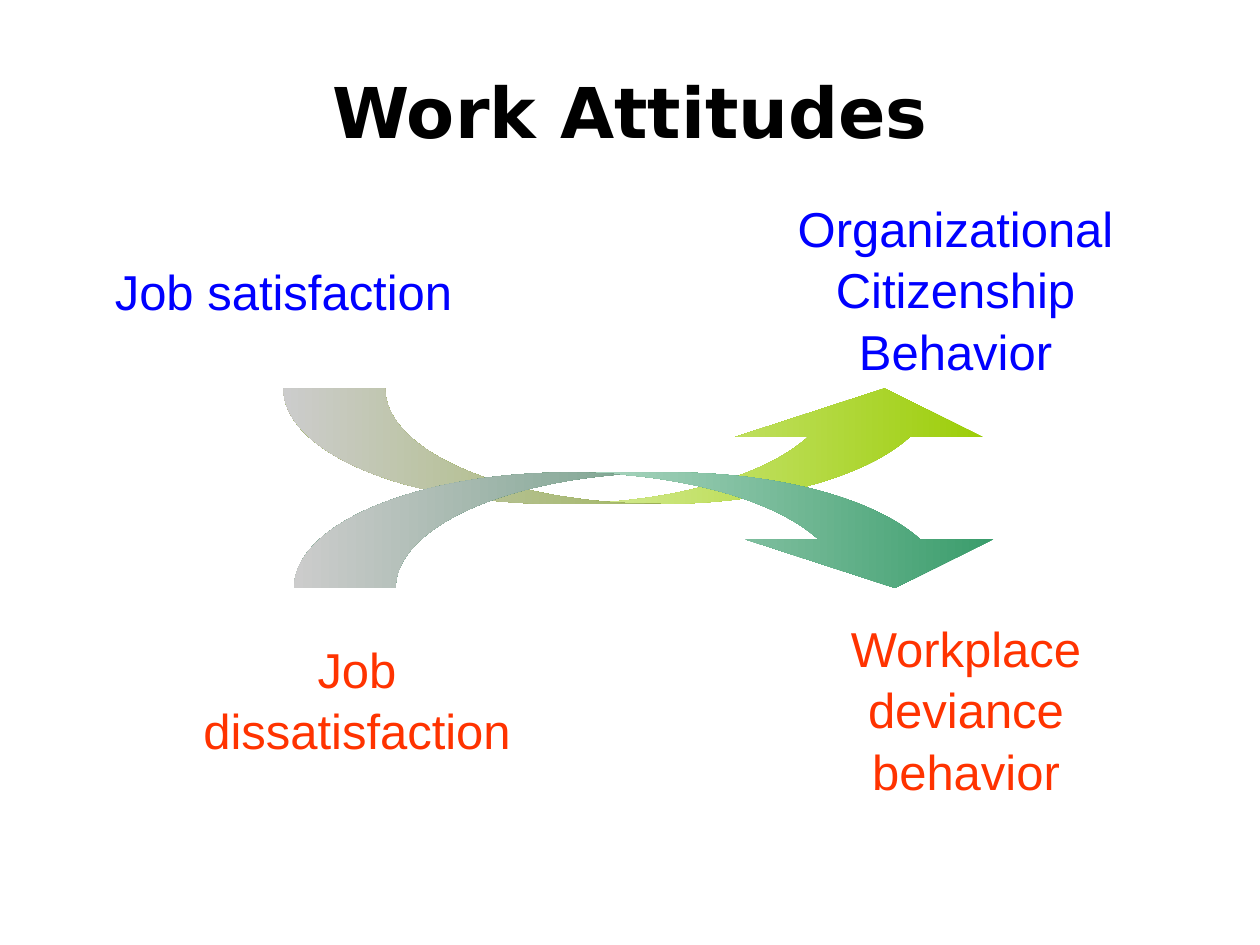
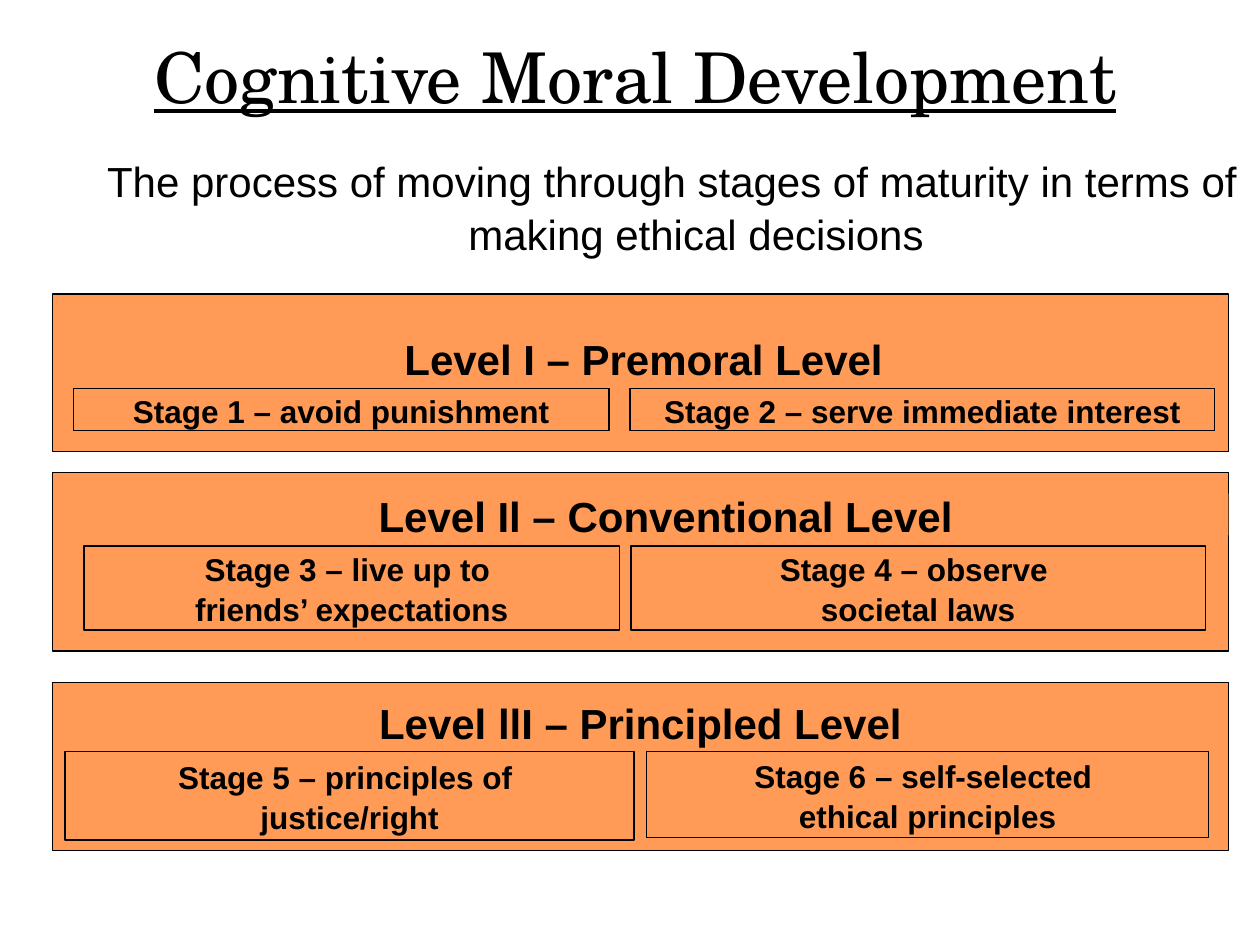
from pptx import Presentation
from pptx.dml.color import RGBColor
from pptx.enum.shapes import MSO_SHAPE
from pptx.enum.text import MSO_ANCHOR, PP_ALIGN
from pptx.util import Inches, Pt

COLORS = {
    "ink": "000000",
    "paper": "FFFFFF",
    "positive": "0000FF",
    "negative": "FF3300",
    "level": "FF9B57",
    "rise": "99CC00",
    "fall": "339966",
}
BODY_FONT = "Arial"
COLUMNS, ROWS = 120, 90


def rgb(name):
    return RGBColor.from_string(COLORS[name])


class Deck:
    """Slides laid out on a grid of 120 columns by 90 rows."""

    def __init__(self):
        self.prs = Presentation()
        self.prs.slide_width, self.prs.slide_height = Inches(10), Inches(7.5)
        self.slide = None

    def new_slide(self):
        self.slide = self.prs.slides.add_slide(self.prs.slide_layouts[6])
        self.slide.background.fill.solid()
        self.slide.background.fill.fore_color.rgb = rgb("paper")

    def place(self, column, row, columns, rows):
        width, height = self.prs.slide_width, self.prs.slide_height
        return (round(column * width / COLUMNS), round(row * height / ROWS),
                round(columns * width / COLUMNS), round(rows * height / ROWS))

    def fill_text(self, frame, lines, size, color="ink", font=BODY_FONT,
                  bold=False, underline=False, middle=False, wrap=True):
        frame.word_wrap = wrap
        frame.vertical_anchor = MSO_ANCHOR.MIDDLE if middle else MSO_ANCHOR.TOP
        for index, line in enumerate(lines):
            paragraph = frame.add_paragraph() if index else frame.paragraphs[0]
            paragraph.alignment = PP_ALIGN.CENTER
            if font == BODY_FONT:
                paragraph.line_spacing = 1.05
            run = paragraph.add_run()
            run.text = line
            run.font.name, run.font.size = font, Pt(size)
            run.font.bold, run.font.underline = bold, underline
            run.font.color.rgb = rgb(color)

    def text(self, area, words, size, **style):
        frame = self.slide.shapes.add_textbox(*self.place(*area)).text_frame
        self.fill_text(frame, [words], size, **style)
        return frame

    def title(self, area, words, font, **style):
        self.text(area, words, 40, font=font, middle=True, **style)

    def hanging_text(self, area, words, size, hang):
        frame = self.text(area, words, size)
        properties = frame.paragraphs[0]._p.get_or_add_pPr()
        properties.set("marL", str(Inches(hang)))
        properties.set("indent", str(-Inches(hang)))

    def shape(self, kind, area):
        shape = self.slide.shapes.add_shape(kind, *self.place(*area))
        shape.shadow.inherit = False
        return shape

    def box(self, area, lines=(), size=18, outlined=True):
        box = self.shape(MSO_SHAPE.RECTANGLE, area)
        box.fill.solid()
        box.fill.fore_color.rgb = rgb("level")
        if outlined:
            box.line.color.rgb = rgb("ink")
            box.line.width = Pt(0.75)
        else:
            box.line.fill.background()
        self.fill_text(box.text_frame, lines, size, bold=True, middle=True, wrap=False)

    def curved_arrow(self, kind, area, color):
        arrow = self.shape(kind, area)
        # Band thickness, head width and head length as shares of the height
        for index, share in enumerate((0.88, 2.14, 0.42)):
            arrow.adjustments[index] = share
        arrow.fill.gradient()
        arrow.fill.gradient_angle = 180
        for stop, name in zip(arrow.fill.gradient_stops, (color, "paper")):
            stop.color.rgb = rgb(name)
        arrow.line.fill.background()


def work_attitudes(deck):
    deck.new_slide()
    deck.title((0, 3, 120, 15), "Work Attitudes", "DejaVu Sans", bold=True)

    # Attitudes on the left, resulting behavior on the right
    for column, row, rows, words, color in (
        (9, 24, 6.8, "Job satisfaction", "positive"),
        (73, 18, 18, "Organizational Citizenship Behavior", "positive"),
        (16, 60, 12.5, "Job dissatisfaction", "negative"),
        (74, 58, 18, "Workplace deviance behavior", "negative"),
    ):
        deck.text((column, row, 36, rows), words, 28, color=color)

    # Crossing arrows
    deck.curved_arrow(MSO_SHAPE.CURVED_UP_ARROW, (27, 37, 69, 11), "rise")
    deck.curved_arrow(MSO_SHAPE.CURVED_DOWN_ARROW, (28, 45, 69, 11), "fall")


def moral_development(deck):
    deck.new_slide()
    deck.title((4, 1, 113, 12.4), "Cognitive Moral Development",
               "TeX Gyre Schola", underline=True)
    deck.hanging_text((8, 14, 112, 18), "The process of moving through stages of "
                      "maturity in terms of making ethical decisions", 24, 0.38)

    # Each level: card rows, heading area, then its two stages
    levels = (
        ((28, 15), (7.7, 32, 107.2, 4), "Level I – Premoral Level", (
            ((60, 37, 55.7, 4), ["Stage 2 – serve immediate interest"]),
            ((7, 37, 51, 4), ["Stage 1 – avoid punishment"]))),
        ((45, 17), (9.8, 47, 107.2, 4), "Level Il – Conventional Level", (
            ((60.1, 52, 54.7, 8), ["Stage 4 – observe ", "societal laws"]),
            ((8, 52, 51, 8), ["Stage 3 – live up to ", "friends’ expectations"]))),
        ((65, 16), (7.4, 66.9, 107.2, 3.7), "Level llI – Principled Level", (
            ((61.6, 71.6, 53.5, 8.2), ["Stage 6 – self-selected ", "ethical principles"]),
            ((6.2, 71.6, 54.2, 8.4), ["Stage 5 – principles of ", "justice/right"]))),
    )
    for (row, rows), heading_area, heading, stages in levels:
        deck.box((5, row, 112, rows))
        deck.box(heading_area, [heading], 24, outlined=False)
        for stage_area, stage in stages:
            deck.box(stage_area, stage)


def main():
    deck = Deck()
    work_attitudes(deck)
    moral_development(deck)
    deck.prs.save("out.pptx")


if __name__ == "__main__":
    main()
